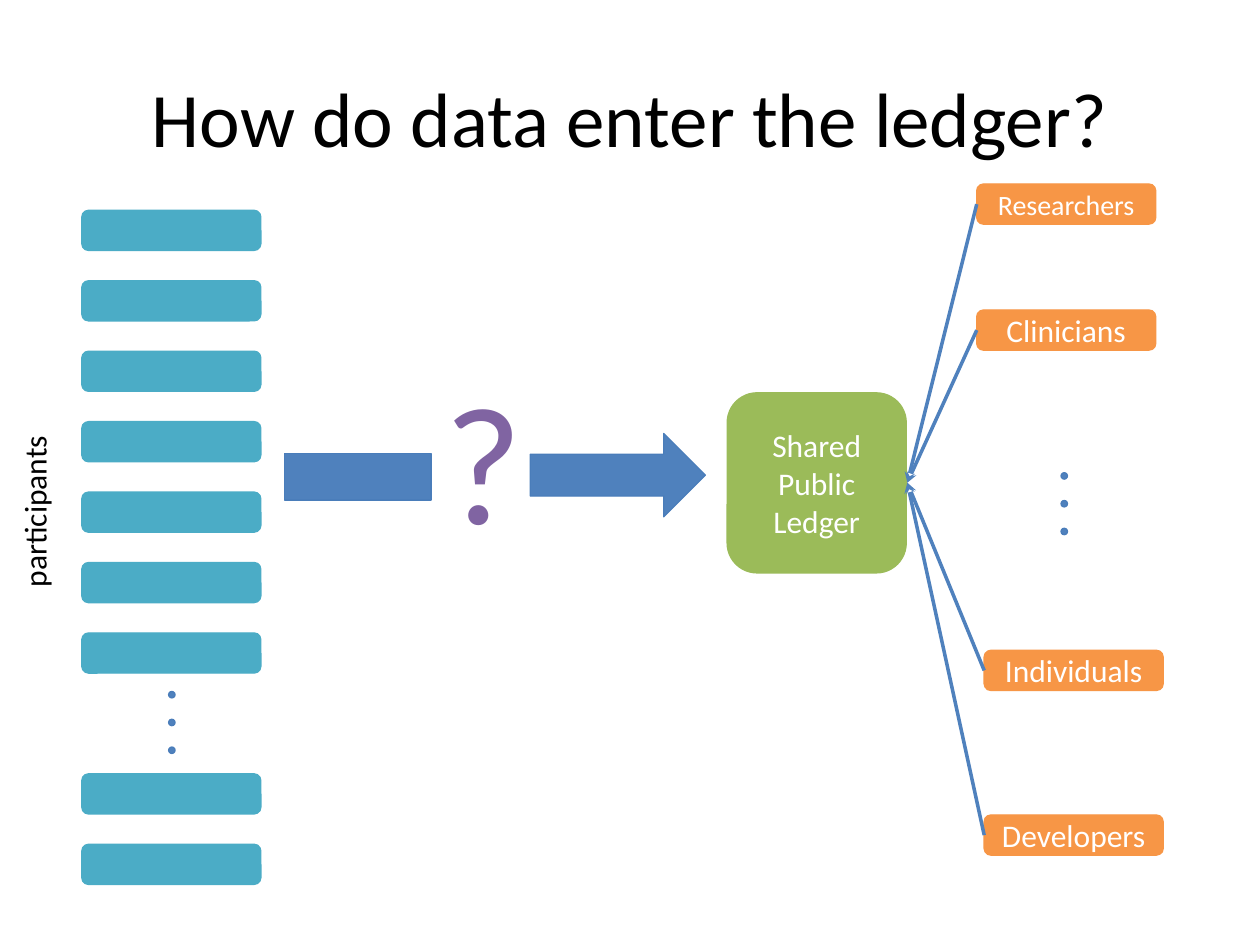
from lxml.etree import SubElement
from pptx import Presentation
from pptx.dml.color import RGBColor
from pptx.enum.shapes import MSO_CONNECTOR, MSO_SHAPE as SHAPE
from pptx.enum.text import MSO_ANCHOR as ANCHOR, PP_ALIGN as ALIGN
from pptx.oxml.ns import qn
from pptx.util import Cm, Pt

COLORS = {
    "black": "000000", "white": "FFFFFF", "blue": "4F81BD", "edge": "4A7DBA",
    "teal": "4BACC6", "green": "9BBB59", "orange": "F79646", "purple": "8064A2",
}
BOX_WIDTH, BOX_HEIGHT = 3.61, 0.81
BAR_LEFT, BAR_TOP, BAR_PITCH = 1.65, 4.24, 1.42
BAR_SLOTS = [0, 1, 2, 3, 4, 5, 6, 8, 9]  # the dots fill slot 7
DOT_SIZE, DOT_PITCH = 0.13, 0.56
LEDGER_ENTRY = (18.29, 9.73)
USERS = [  # label, left, top, text size
    ("Researchers", 19.69, 3.71, 16),
    ("Clinicians", 19.69, 6.25, 18),
    ("Individuals", 19.84, 13.11, 18),
    ("Developers", 19.84, 16.43, 18),
]


def color(name):
    return RGBColor.from_string(COLORS[name])


def write(shape, text, size, ink, align=ALIGN.CENTER, anchor=ANCHOR.MIDDLE, wrap=True):
    frame = shape.text_frame
    frame.text = text
    frame.word_wrap = wrap
    frame.vertical_anchor = anchor
    paragraph = frame.paragraphs[0]
    paragraph.alignment = align
    font = paragraph.runs[0].font
    for name, value in {"name": "Calibri", "size": Pt(size)}.items():
        setattr(font, name, value)
    font.color.rgb = color(ink)


def add_title(slide, text):
    title = slide.shapes.title
    position = {"left": 1.27, "top": 0.76, "width": 22.86, "height": 3.18}
    for name, value in position.items():
        setattr(title, name, Cm(value))
    write(title, text, 44, "black")


def add_block(slide, kind, box, fill, edge=None):
    shape = slide.shapes.add_shape(kind, *map(Cm, box))
    shape.shadow.inherit = False
    shape.fill.solid()
    shape.fill.fore_color.rgb = color(fill)
    shape.line.color.rgb = color(edge or fill)
    shape.line.width = Pt(0.75)
    return shape


def add_dots(slide, left, top):
    for index in range(3):
        box = (left, top + index * DOT_PITCH, DOT_SIZE, DOT_SIZE)
        add_block(slide, SHAPE.OVAL, box, "blue", "edge")


def add_label(slide, box, text, size, ink, rotation=0):
    label = slide.shapes.add_textbox(*map(Cm, box))
    label.rotation = rotation
    write(label, text, size, ink, ALIGN.LEFT, ANCHOR.TOP, wrap=False)


def add_arrow(slide, start, end):
    arrow = slide.shapes.add_connector(MSO_CONNECTOR.STRAIGHT, *map(Cm, start + end))
    arrow.line.color.rgb = color("blue")
    arrow.line.width = Pt(2)
    SubElement(arrow.line._get_or_add_ln(), qn("a:tailEnd"), type="stealth")
    SubElement(arrow._element.spPr, qn("a:effectLst"))


def main():
    presentation = Presentation()
    presentation.slide_width, presentation.slide_height = Cm(25.4), Cm(19.05)
    slide = presentation.slides.add_slide(presentation.slide_layouts[5])
    add_title(slide, "How do data enter the ledger?")

    # Participants
    add_label(slide, (-1.19, 9.7, 3.76, 1.02), "participants", 18, "black", 270)
    for slot in BAR_SLOTS:
        box = (BAR_LEFT, BAR_TOP + slot * BAR_PITCH, BOX_WIDTH, BOX_HEIGHT)
        add_block(slide, SHAPE.ROUNDED_RECTANGLE, box, "teal")
    add_dots(slide, 3.4, 13.94)

    # Shared ledger
    ledger = add_block(slide, SHAPE.ROUNDED_RECTANGLE, (14.66, 7.92, BOX_WIDTH, 3.63), "green")
    write(ledger, "Shared Public Ledger", 18, "white")

    # Users of the ledger
    for text, left, top, size in USERS:
        box = (left, top, BOX_WIDTH, BOX_HEIGHT)
        user = add_block(slide, SHAPE.ROUNDED_RECTANGLE, box, "orange")
        write(user, text, size, "white")
    for _, left, top, _ in USERS:
        add_arrow(slide, (left, top + BOX_HEIGHT / 2), LEDGER_ENTRY)
    add_dots(slide, 21.39, 9.53)

    # Unknown route into the ledger
    add_label(slide, (8.71, 7.06, 2.01, 4.37), "?", 96, "purple")
    add_block(slide, SHAPE.RIGHT_ARROW, (10.69, 8.74, 3.53, 1.68), "blue", "edge")
    add_block(slide, SHAPE.RECTANGLE, (5.74, 9.14, 2.95, 0.94), "blue", "edge")

    presentation.save("out.pptx")


if __name__ == "__main__":
    main()
